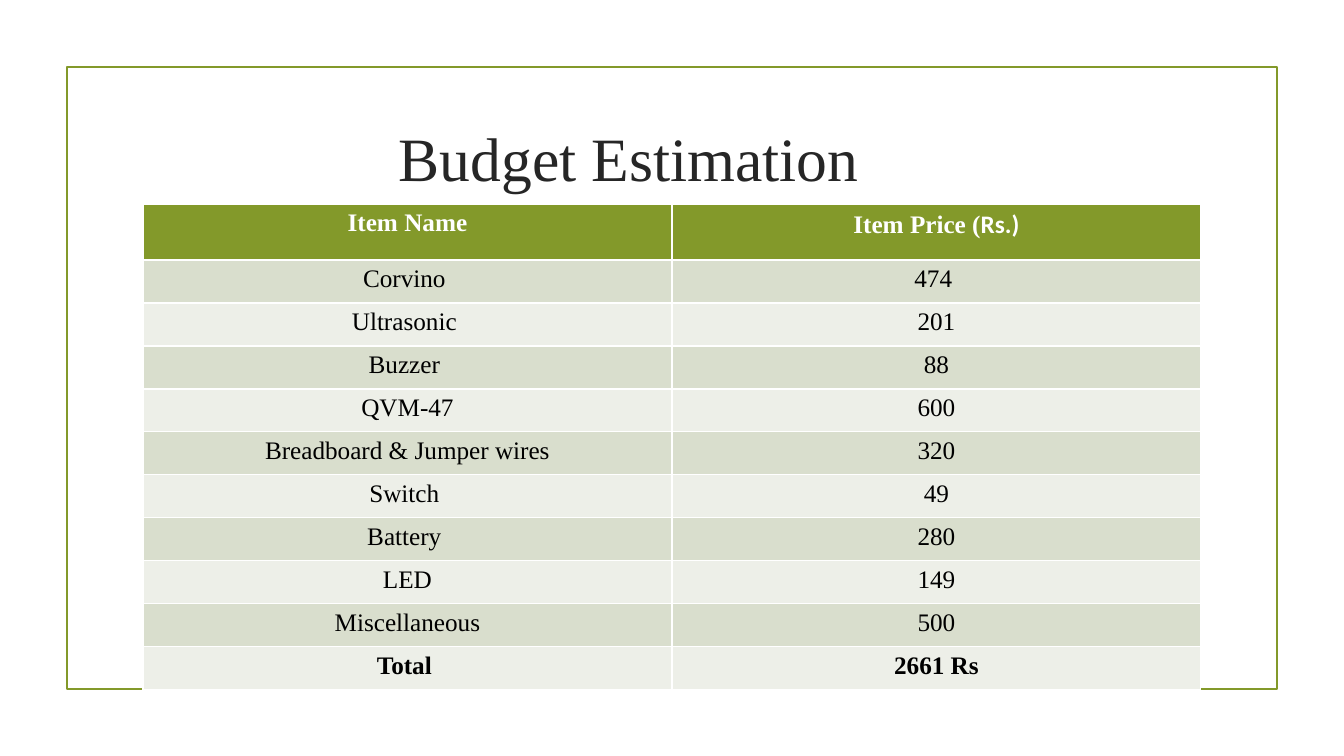
"""Build the Budget Estimation slide with its price table."""
from lxml import etree
from pptx import Presentation
from pptx.dml.color import RGBColor
from pptx.enum.shapes import MSO_SHAPE
from pptx.enum.text import MSO_ANCHOR, PP_ALIGN
from pptx.oxml.ns import qn
from pptx.util import Emu, Pt

RECTANGLE = MSO_SHAPE.RECTANGLE
MIDDLE = MSO_ANCHOR.MIDDLE
CENTER = PP_ALIGN.CENTER
TITLE_ONLY = 5
SERIF = "Times New Roman"
GREEN, WHITE, BLACK, DARK = "83992A", "FFFFFF", "000000", "262626"
BANDS = ["D9DECD", "EDEFE8"]
HEADER_HEIGHT, ROW_HEIGHT, COLUMN_WIDTH = 56, 43, 529

ITEMS = [
    ("Item Name", "Item Price ("),
    ("Corvino ", "474 "),
    ("Ultrasonic ", "201"),
    ("Buzzer ", "88"),
    ("QVM-47", "600"),
    ("Breadboard & Jumper wires", "320"),
    ("Switch ", "49"),
    ("Battery ", "280"),
    ("LED", "149"),
    ("Miscellaneous", "500"),
    ("Total ", "2661 Rs"),
]


def px(*lengths):
    return [Emu(round(length * 914400 / 100.8)) for length in lengths]


def add_text(frame, text, size=18, font=SERIF, color=BLACK, bold=False):
    paragraph = frame.paragraphs[0]
    paragraph.alignment = CENTER
    run = paragraph.add_run()
    run.text = text
    run.font.size = Pt(size)
    run.font.name = font
    run.font.bold = bold
    run.font.color.rgb = RGBColor.from_string(color)


presentation = Presentation()
presentation.slide_width, presentation.slide_height = px(1344, 756)
slide = presentation.slides.add_slide(presentation.slide_layouts[TITLE_ONLY])

frame = slide.shapes.add_shape(RECTANGLE, *px(67, 67, 1210, 622))
frame.shadow.inherit = False
frame.fill.background()
frame.line.color.rgb = RGBColor.from_string(GREEN)
frame.line.width = Pt(1.25)

title = slide.shapes.title
title.left, title.top, title.width, title.height = px(143, 108, 972, 97)
title.text_frame.vertical_anchor = MIDDLE
add_text(title.text_frame, "Budget Estimation", size=44, color=DARK)

table_height = HEADER_HEIGHT + ROW_HEIGHT * (len(ITEMS) - 1)
table = slide.shapes.add_table(
    len(ITEMS), 2, *px(143, 204, 2 * COLUMN_WIDTH, table_height)).table
for column in table.columns:
    column.width = px(COLUMN_WIDTH)[0]

for row_index, item in enumerate(ITEMS):
    is_header = row_index == 0
    is_total = row_index == len(ITEMS) - 1
    table.rows[row_index].height = px(HEADER_HEIGHT if is_header else ROW_HEIGHT)[0]
    for column_index, text in enumerate(item):
        cell = table.cell(row_index, column_index)
        add_text(cell.text_frame, text, color=WHITE if is_header else BLACK,
                 bold=is_header or is_total)
        properties = cell._tc.get_or_add_tcPr()
        for side in ("lnL", "lnR", "lnT", "lnB"):
            border = etree.SubElement(properties, qn("a:" + side), w=str(Pt(1)))
            fill = etree.SubElement(border, qn("a:solidFill"))
            etree.SubElement(fill, qn("a:srgbClr"), val=WHITE)
        cell.fill.solid()
        cell.fill.fore_color.rgb = RGBColor.from_string(
            GREEN if is_header else BANDS[(row_index - 1) % 2])

add_text(table.cell(0, 1).text_frame, "Rs.)", font="Calibri", color=WHITE, bold=True)

presentation.save("out.pptx")
